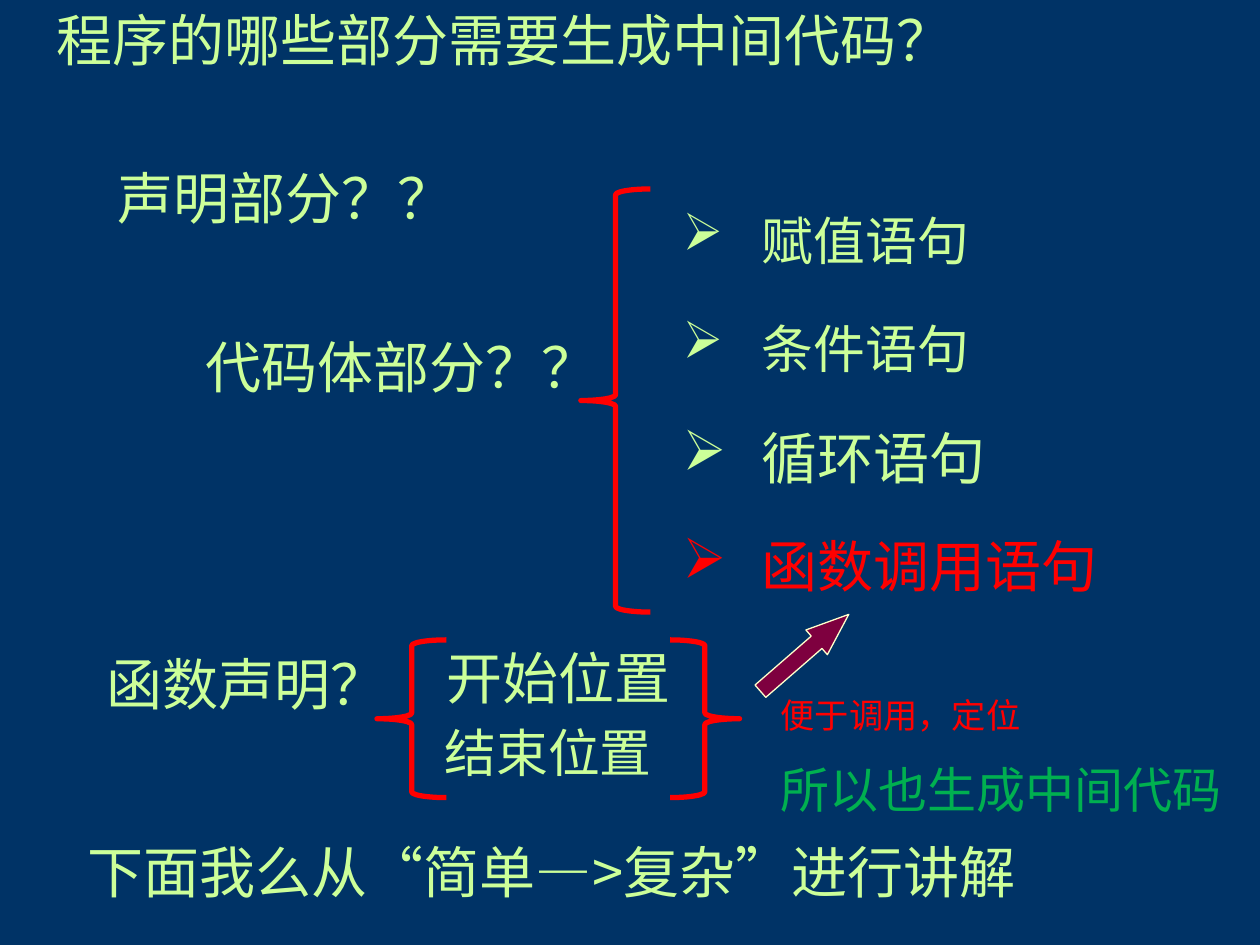
from lxml.etree import SubElement
from pptx import Presentation
from pptx.dml.color import RGBColor
from pptx.enum.shapes import MSO_SHAPE
from pptx.enum.text import MSO_ANCHOR
from pptx.oxml.ns import qn
from pptx.util import Cm, Pt

CJK, SERIF = "Noto Sans CJK SC", "Times New Roman"
LIME, RED, GREEN = "CCFF99", "FF0000", "00B050"
NAVY, PLUM, CREAM = "003366", "7E003F", "FFFFCC"


def rgb(value):
    return RGBColor.from_string(value)


def add_bullet(p, color):
    pPr = p._p.get_or_add_pPr()
    pPr.set("marL", str(Cm(1.6)))
    pPr.set("indent", str(Cm(-1.6)))
    clr = SubElement(pPr, qn("a:buClr"))
    SubElement(clr, qn("a:srgbClr")).set("val", color)
    SubElement(pPr, qn("a:buChar")).set("char", "➢")


def add_text(s, text, x, y, w, h, size=32, color=LIME, font=SERIF,
             spacing=0.85, bullet=False, lift=0):
    """Middle-anchored line; lift is extra bottom inset that raises it."""
    tf = s.shapes.add_textbox(Cm(x), Cm(y), Cm(w), Cm(h)).text_frame
    tf.word_wrap = True
    tf.vertical_anchor = MSO_ANCHOR.MIDDLE
    tf.margin_bottom = Cm(0.13 + lift)
    p = tf.paragraphs[0]
    if bullet:
        add_bullet(p, color)
    p.line_spacing = spacing
    r = p.add_run()
    r.text = text
    r.font.size = Pt(size)
    r.font.name = font
    r.font.color.rgb = rgb(color)
    SubElement(r._r.get_or_add_rPr(), qn("a:ea")).set("typeface", CJK)


def add_shape(s, kind, x, y, w, h, adjust, line, width, fill=None):
    sp = s.shapes.add_shape(kind, Cm(x), Cm(y), Cm(w), Cm(h))
    sp.shadow.inherit = False
    for i, value in enumerate(adjust):
        sp.adjustments[i] = value
    if fill:
        sp.fill.solid()
        sp.fill.fore_color.rgb = rgb(fill)
    else:
        sp.fill.background()
    sp.line.color.rgb = rgb(line)
    sp.line.width = Pt(width)
    return sp


def add_brace(s, kind, x, y, h):
    add_shape(s, kind, x, y, 1.4, h, (0.083, 0.5), RED, 3)


def main():
    prs = Presentation()
    prs.slide_width, prs.slide_height = Cm(25.4), Cm(19.05)
    s = prs.slides.add_slide(prs.slide_layouts[6])
    s.background.fill.solid()
    s.background.fill.fore_color.rgb = rgb(NAVY)

    # Title and the three questions
    for text, x, y, w in (
        ("程序的哪些部分需要生成中间代码？", 0.89, -0.48, 21.59),
        ("声明部分？？", 2.11, 2.72, 7.52),
        ("代码体部分？？", 3.89, 6.12, 8.81),
        ("函数声明？", 1.9, 12.52, 8.81),
    ):
        add_text(s, text, x, y, w, 3.94, font=CJK, lift=1.2)

    # Statement kinds in the code body
    add_brace(s, MSO_SHAPE.LEFT_BRACE, 11.71, 3.81, 8.53)
    for i, (text, size, spacing, color, w) in enumerate((
        ("赋值语句", 29.6, 0.75, LIME, 7.24),
        ("条件语句", 29.6, 0.75, LIME, 7.24),
        ("循环语句", 32, 0.85, LIME, 7.24),
        ("函数调用语句", 32, 0.85, RED, 9.7),
    )):
        add_text(s, text, 13.51, 3.53 + 2.18 * i, w, 2.87, size=size,
                 color=color, spacing=spacing, bullet=True)

    # Function declaration: positions between two braces
    add_brace(s, MSO_SHAPE.LEFT_BRACE, 7.6, 12.9, 3.18)
    add_text(s, "开始位置", 8.76, 12.32, 7.24, 2.87)
    add_text(s, "结束位置", 8.71, 14.27, 7.24, 2.11, size=29.6, spacing=0.65)
    add_brace(s, MSO_SHAPE.RIGHT_BRACE, 13.51, 12.9, 3.18)

    # Reason, with an arrow to the call statement
    add_text(s, "便于调用，定位", 15.49, 13.79, 8.79, 1.47, size=19.6,
             color=RED, spacing=0.65)
    arrow = add_shape(s, MSO_SHAPE.RIGHT_ARROW, 15.04, 12.83, 2.36, 0.66,
                      (0.5, 1.3), CREAM, 0.75, fill=PLUM)
    arrow.rotation = 319
    add_text(s, "所以也生成中间代码", 15.49, 15.27, 9.91, 1.47, size=28,
             color=GREEN)

    # Closing line
    add_text(s, "下面我么从“简单—>复杂”进行讲解", 1.52, 16.31, 21.59, 2.72,
             font=CJK)

    prs.save("out.pptx")


if __name__ == "__main__":
    main()
